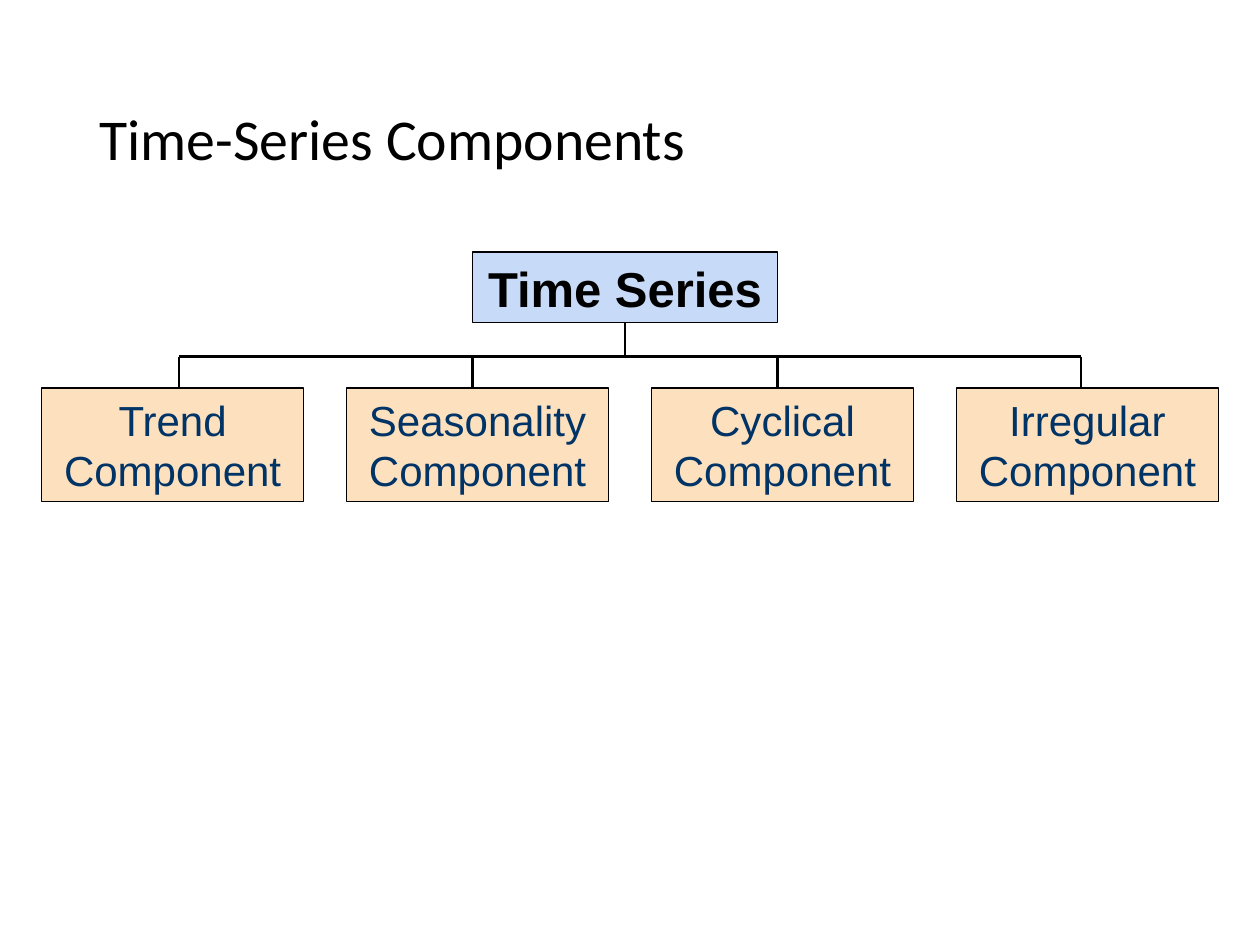
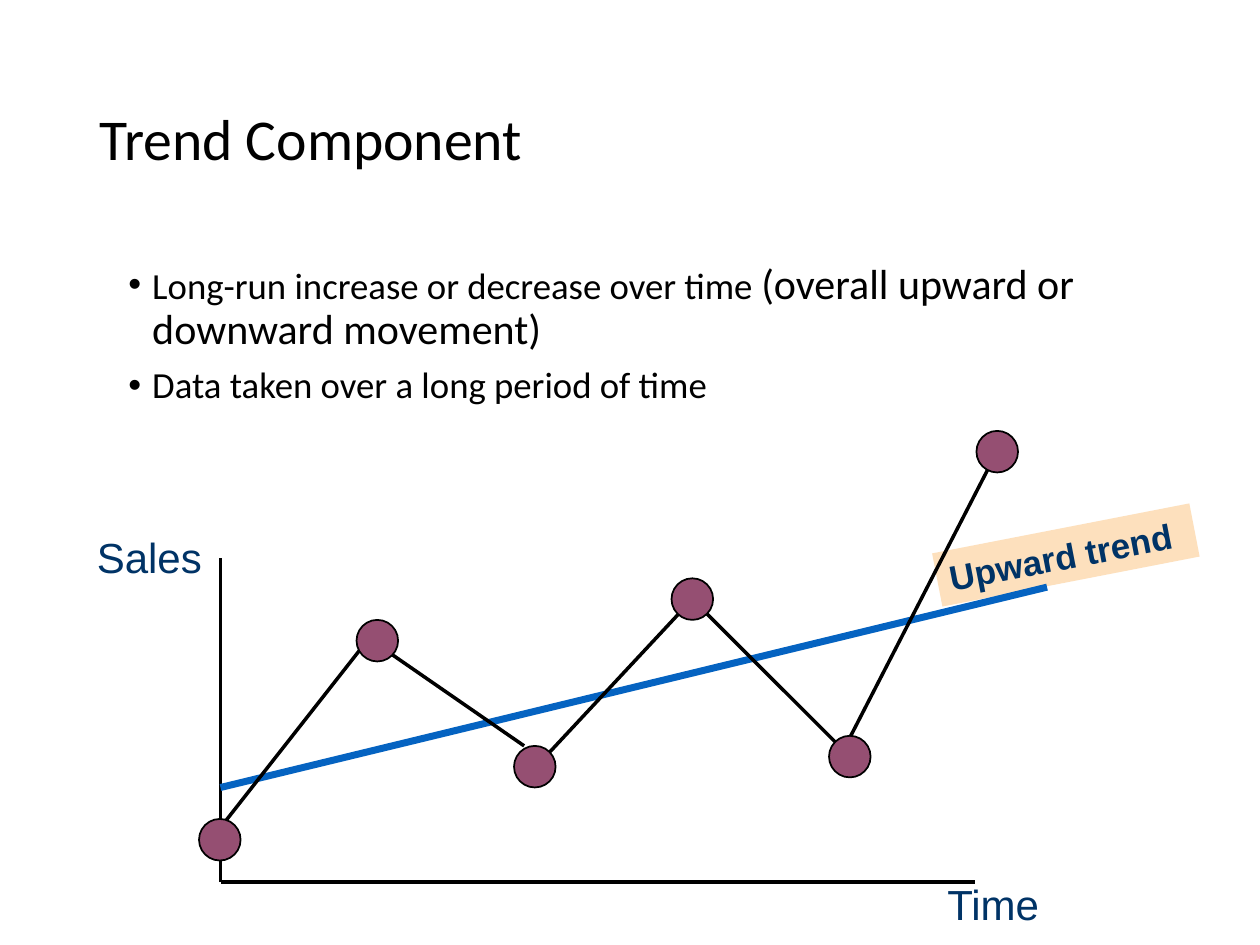
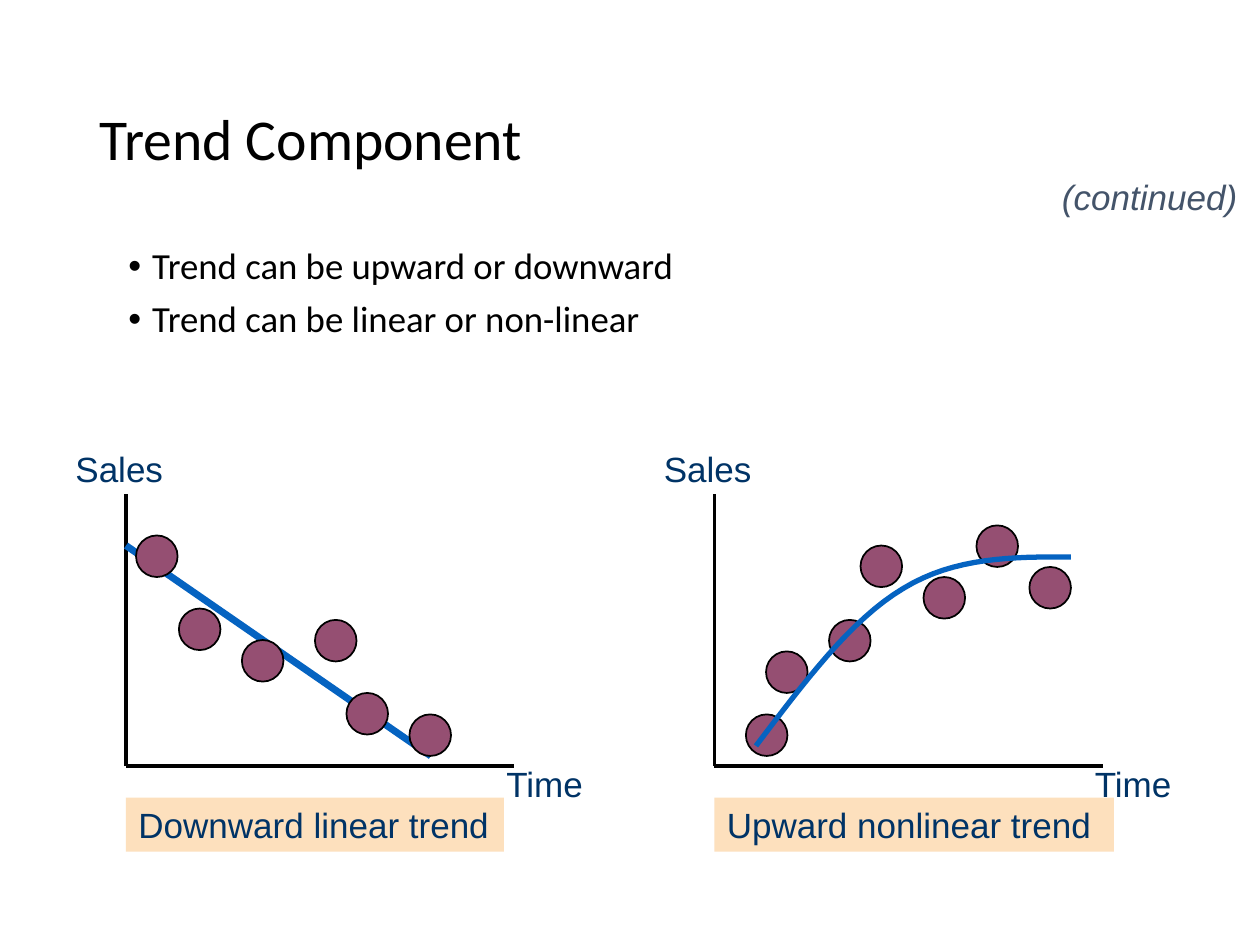
"""Build three slides on the components of a time series."""
from dataclasses import dataclass
from typing import Any

from lxml.etree import SubElement
from pptx import Presentation
from pptx.dml.color import RGBColor
from pptx.enum.shapes import MSO_CONNECTOR as Connector, MSO_SHAPE as Preset
from pptx.enum.text import MSO_ANCHOR as Anchor, MSO_AUTO_SIZE as AutoSize, PP_ALIGN as Align
from pptx.oxml.ns import qn
from pptx.util import Inches, Pt

BLACK, NAVY, SLATE = "000000", "003366", "44546A"
PEACH, PALE_BLUE, PLUM, TREND_BLUE = "FDE0BD", "C7DAF7", "954F72", "0563C1"
DOT_SIZE = 0.33
Point = tuple[float, float]


@dataclass(frozen=True)
class Label:
    text: str
    left: float
    top: float
    width: float
    height: float
    size: int = 20
    color: str = NAVY
    fill: str = ""
    border: float = 0
    align: Align = Align.LEFT
    bold: bool = False
    italic: bool = False
    wrap: bool = True
    rotation: float = 0


@dataclass(frozen=True)
class Segment:
    start: Point
    end: Point
    color: str = BLACK
    weight: float = 2


@dataclass(frozen=True)
class TrendPlot:
    left: float
    caption: str
    caption_width: float
    dots: tuple[Point, ...]


HIERARCHY_ROOT = Label("Time Series", 3.75, 2, 2.42, 0.56, 28, BLACK, PALE_BLUE, 0.75, Align.CENTER, True)
COMPONENTS = ("Trend", "Seasonality", "Cyclical", "Irregular")
DROP_XS = (1.42, 3.75, 6.17, 8.58)
BRANCH_Y, COMPONENT_TOP = 2.83, 3.08

SALES_PATH = (
    Segment((1.67, 6.67), (2.91, 5.09)),
    Segment((3.09, 5.18), (4.16, 5.92)),
    Segment((4.25, 6.09), (5.5, 4.75)),
    Segment((5.59, 4.85), (6.66, 5.92)),
    Segment((6.67, 6), (7.91, 3.59)),
)
SALES_DOTS = ((1.58, 6.5), (2.83, 4.92), (4.08, 5.92), (5.33, 4.59), (6.58, 5.84), (7.75, 3.42))

DOWNWARD = TrendPlot(1, "Downward linear trend", 3, (
    (1.08, 4.25), (1.42, 4.83), (2.75, 5.5), (2.5, 4.92), (1.92, 5.08), (3.25, 5.67)))
UPWARD = TrendPlot(5.67, "Upward nonlinear trend", 3.17, (
    (5.92, 5.67), (6.08, 5.17), (7.33, 4.58), (6.83, 4.33), (6.58, 4.92), (7.75, 4.17), (8.17, 4.5)))
GROWTH_CURVE = (
    ((6, 5.92), (6.38, 5.42), (6.75, 4.92), (7.17, 4.67)),
    ((7.17, 4.67), (7.58, 4.42), (8.04, 4.42), (8.5, 4.42)),
)


def rgb(color: str) -> RGBColor:
    """Turn a hex string into a colour."""
    return RGBColor.from_string(color)


def assign(target: Any, values: dict[str, Any]) -> None:
    """Set every named attribute on the target."""
    for name, value in values.items():
        setattr(target, name, value)


def box(left: float, top: float, width: float, height: float) -> tuple[int, ...]:
    """Convert a box in inches to lengths."""
    return tuple(Inches(value) for value in (left, top, width, height))


def style_font(font: Any, name: str, size: float, color: str, **extra: bool) -> None:
    """Format a font."""
    assign(font, {"name": name, "size": Pt(size), **extra})
    font.color.rgb = rgb(color)


def style_line(line: Any, color: str, weight: float) -> None:
    """Colour and size an outline."""
    line.color.rgb = rgb(color)
    line.width = Pt(weight)


def add_titled_slide(deck: Any, text: str) -> Any:
    """Add a title-only slide with its formatted title."""
    slide = deck.slides.add_slide(deck.slide_layouts[5])
    title = slide.shapes.title
    assign(title, dict(zip(("left", "top", "width", "height"), box(0.69, 0.4, 8.63, 1.45))))
    frame = title.text_frame
    frame.text = text
    assign(frame, {"vertical_anchor": Anchor.MIDDLE, "auto_size": AutoSize.NONE, "word_wrap": True})
    paragraph = frame.paragraphs[0]
    assign(paragraph, {"alignment": Align.LEFT, "line_spacing": 0.9})
    style_font(paragraph.runs[0].font, "Calibri", 33, BLACK)
    return slide


def add_label(slide: Any, label: Label) -> Any:
    """Draw a label, on a rectangle if it has a fill."""
    place = box(label.left, label.top, label.width, label.height)
    if label.fill:
        shape = slide.shapes.add_shape(Preset.RECTANGLE, *place)
        shape.shadow.inherit = False
        shape.fill.solid()
        shape.fill.fore_color.rgb = rgb(label.fill)
        if label.border:
            style_line(shape.line, BLACK, label.border)
        else:
            shape.line.fill.background()
    else:
        shape = slide.shapes.add_textbox(*place)
    shape.rotation = label.rotation
    frame = shape.text_frame
    frame.text = label.text
    assign(frame, {"word_wrap": label.wrap, "vertical_anchor": Anchor.TOP,
                   "auto_size": AutoSize.SHAPE_TO_FIT_TEXT})
    paragraph = frame.paragraphs[0]
    paragraph.alignment = label.align
    style_font(paragraph.runs[0].font, "Arial", label.size, label.color, bold=label.bold, italic=label.italic)
    return shape


def add_segment(slide: Any, segment: Segment) -> Any:
    """Draw a straight line without a shadow."""
    ends = (Inches(value) for value in (*segment.start, *segment.end))
    connector = slide.shapes.add_connector(Connector.STRAIGHT, *ends)
    style_line(connector.line, segment.color, segment.weight)
    SubElement(connector.element.spPr, qn("a:effectLst"))
    return connector


def add_dots(slide: Any, corners: tuple[Point, ...]) -> None:
    """Draw the data points from their top left corners."""
    for left, top in corners:
        dot = slide.shapes.add_shape(Preset.OVAL, *box(left, top, DOT_SIZE, DOT_SIZE))
        dot.shadow.inherit = False
        dot.fill.solid()
        dot.fill.fore_color.rgb = rgb(PLUM)
        style_line(dot.line, BLACK, 1)


def add_bullets(slide: Any, top: float, height: float, items: list[list[tuple[str, int]]]) -> None:
    """Write bulleted paragraphs made of sized runs."""
    frame = slide.shapes.add_textbox(*box(0.92, top, 8.33, height)).text_frame
    frame.word_wrap = True
    for index, runs in enumerate(items):
        paragraph = frame.add_paragraph() if index else frame.paragraphs[0]
        assign(paragraph, {"line_spacing": 0.9, "space_before": Pt(7.5)})
        for text, size in runs:
            run = paragraph.add_run()
            run.text = text
            style_font(run.font, "Calibri", size, BLACK)
        properties = paragraph._p.get_or_add_pPr()
        properties.set("marL", str(Inches(0.19)))
        properties.set("indent", str(-Inches(0.19)))
        SubElement(properties, qn("a:buFont"), typeface="Arial")
        SubElement(properties, qn("a:buChar"), char="•")


def add_axes(slide: Any, left: float, top: float, right: float, bottom: float) -> None:
    """Draw the vertical and horizontal axes."""
    for end in ((left, top), (right, bottom)):
        add_segment(slide, Segment((left, bottom), end))


def add_trend_plot(slide: Any, plot: TrendPlot) -> None:
    """Draw the caption, axes and axis names of a small plot."""
    left = plot.left
    add_label(slide, Label(plot.caption, left, 6.33, plot.caption_width, 0.43, fill=PEACH))
    add_axes(slide, left, 3.92, left + 3.08, 6.08)
    add_label(slide, Label("Sales", left - 0.5, 3.5, 1.08, 0.43))
    add_label(slide, Label("Time", left + 2.92, 6, 1.08, 0.43))


def bezier_point(controls: tuple[Point, ...], t: float) -> Point:
    """Find a point on a cubic curve."""
    weights = ((1 - t) ** 3, 3 * t * (1 - t) ** 2, 3 * t * t * (1 - t), t ** 3)
    x, y = (sum(w * point[axis] for w, point in zip(weights, controls)) for axis in (0, 1))
    return Inches(x), Inches(y)


def add_growth_curve(slide: Any, steps: int = 16) -> None:
    """Draw the nonlinear trend as an open outline."""
    start = bezier_point(GROWTH_CURVE[0], 0)
    points = [bezier_point(part, step / steps) for part in GROWTH_CURVE for step in range(1, steps + 1)]
    builder = slide.shapes.build_freeform(*start)
    builder.add_line_segments(points, close=False)
    curve = builder.convert_to_shape()
    curve.shadow.inherit = False
    curve.fill.background()
    style_line(curve.line, TREND_BLUE, 3)


def build_components(deck: Any) -> None:
    """Build the hierarchy of components."""
    slide = add_titled_slide(deck, "Time-Series Components")
    root = add_label(slide, HIERARCHY_ROOT)
    for index, component in enumerate(COMPONENTS):
        add_label(slide, Label(f"{component} Component", 0.33 + 2.42 * index, COMPONENT_TOP, 2.08, 0.9,
                               24, fill=PEACH, border=0.75, align=Align.CENTER))
    stem = add_segment(slide, Segment((4.96, 2.56), (4.96, BRANCH_Y), weight=1.5))
    stem.begin_connect(root, 2)
    add_segment(slide, Segment((DROP_XS[0], BRANCH_Y), (DROP_XS[-1], BRANCH_Y), weight=1.5))
    for x in DROP_XS:
        add_segment(slide, Segment((x, BRANCH_Y), (x, COMPONENT_TOP), weight=1.5))


def build_upward_trend(deck: Any) -> None:
    """Build the slide with the upward sales trend."""
    slide = add_titled_slide(deck, "Trend Component")
    add_bullets(slide, 2.04, 2.02, [
        [("Long-run increase or decrease over time ", 21), ("(overall upward or downward movement)", 24)],
        [("Data taken over a long period of time", 21)],
    ])
    add_label(slide, Label("Upward trend", 7.42, 4.19, 2.08, 0.43, fill=PEACH, bold=True, rotation=349))
    add_axes(slide, 1.75, 4.43, 7.74, 7)
    add_label(slide, Label("Sales", 0.67, 4.17, 1.17, 0.5, 24))
    add_label(slide, Label("Time", 7.42, 6.92, 1.08, 0.5, 24))
    add_segment(slide, Segment((1.75, 6.25), (8.31, 4.66), TREND_BLUE, 4))
    for segment in SALES_PATH:
        add_segment(slide, segment)
    add_dots(slide, SALES_DOTS)


def build_trend_shapes(deck: Any) -> None:
    """Build the slide comparing linear and nonlinear trends."""
    slide = add_titled_slide(deck, "Trend Component")
    add_bullets(slide, 1.92, 1.47, [
        [("Trend can be upward or downward", 21)],
        [("Trend can be linear or non-linear", 21)],
    ])
    add_trend_plot(slide, DOWNWARD)
    add_segment(slide, Segment((1, 4.33), (3.42, 6), TREND_BLUE, 4))
    add_dots(slide, DOWNWARD.dots)
    add_trend_plot(slide, UPWARD)
    add_dots(slide, UPWARD.dots)
    add_growth_curve(slide)
    add_label(slide, Label("(continued)", 8.33, 1.34, 1.59, 0.44, color=SLATE, italic=True, wrap=False))


def main() -> None:
    """Build and save the presentation."""
    deck = Presentation()
    assign(deck, {"slide_width": Inches(10), "slide_height": Inches(7.5)})
    for build in (build_components, build_upward_trend, build_trend_shapes):
        build(deck)
    deck.save("out.pptx")


if __name__ == "__main__":
    main()
